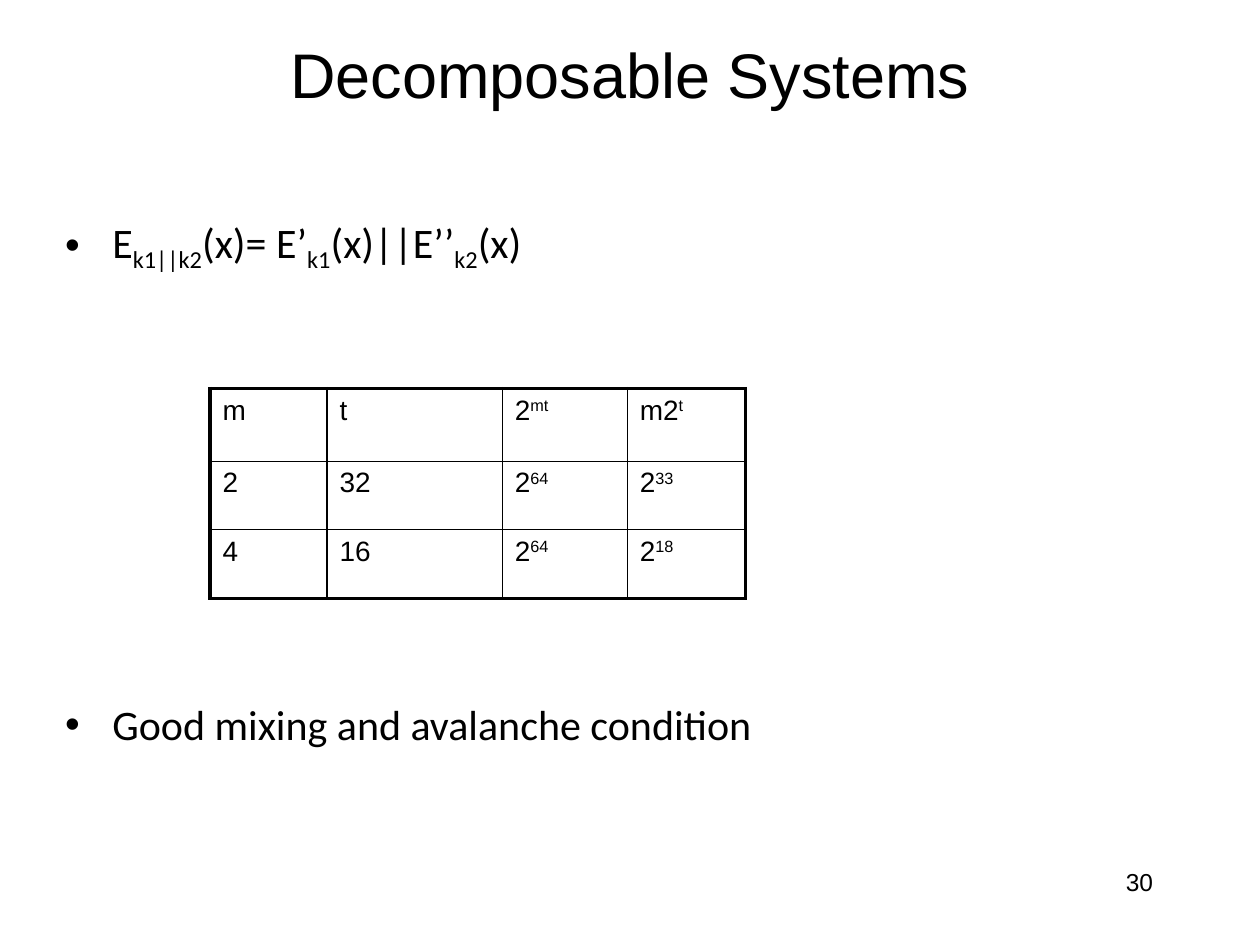
from lxml.etree import SubElement
from pptx import Presentation
from pptx.dml.color import RGBColor
from pptx.enum.text import MSO_ANCHOR, MSO_AUTO_SIZE, PP_ALIGN
from pptx.oxml.ns import qn
from pptx.util import Inches, Pt

BLACK = RGBColor(0, 0, 0)
GRID_COLUMNS, GRID_ROWS = 24, 18
SUBSCRIPT, SUPERSCRIPT = -25, 30
OUTER_BORDER, INNER_BORDER = Pt(2.25), Pt(1)

FORMULA = ["E", "k1||k2", "(x)= E’", "k1", "(x)||E’’", "k2", "(x)"]
CONDITION = ["Good mixing and avalanche condition"]
COSTS = [
    [["m"], ["t"], ["2", "mt"], ["m2", "t"]],
    [["2"], ["32"], ["2", "64"], ["2", "33"]],
    [["4"], ["16"], ["2", "64"], ["2", "18"]],
]


class SlideBuilder:
    """Holds the style and the slide; places elements in grid columns and rows."""

    heading_font, list_font = "Arial", "Calibri"

    def __init__(self, presentation):
        self.column = presentation.slide_width / GRID_COLUMNS
        self.row = presentation.slide_height / GRID_ROWS
        self.slide = presentation.slides.add_slide(presentation.slide_layouts[1])

    def area(self, left, top, width, height):
        return (round(left * self.column), round(top * self.row),
                round(width * self.column), round(height * self.row))

    def move(self, placeholder, area):
        (placeholder.left, placeholder.top,
         placeholder.width, placeholder.height) = self.area(*area)
        placeholder.text_frame.auto_size = MSO_AUTO_SIZE.NONE

    def add_runs(self, paragraph, parts, font, size, shift=0):
        """Add parts in turn on the baseline and shifted off it."""
        for index, part in enumerate(parts):
            run = paragraph.add_run()
            run.text = part
            run.font.name = font
            run.font.size = Pt(size)
            run.font.color.rgb = BLACK
            if index % 2:
                run._r.get_or_add_rPr().set("baseline", str(shift * 1000))

    def title(self, wording, area):
        heading = self.slide.shapes.title
        self.move(heading, area)
        heading.text_frame.vertical_anchor = MSO_ANCHOR.MIDDLE
        paragraph = heading.text_frame.paragraphs[0]
        paragraph.alignment = PP_ALIGN.CENTER
        self.add_runs(paragraph, [wording], self.heading_font, 36)

    def bullets(self, items, area, gap):
        body = self.slide.placeholders[1]
        self.move(body, area)
        frame = body.text_frame
        for index, parts in enumerate(items):
            paragraph = frame.add_paragraph() if index else frame.paragraphs[0]
            if index:
                paragraph.space_before = gap
            self.add_runs(paragraph, parts, self.list_font, 24, SUBSCRIPT)

    def border(self, cell, side, width):
        properties = cell._tc.get_or_add_tcPr()
        line = SubElement(properties, qn(f"a:ln{side}"), w=str(width))
        fill = SubElement(line, qn("a:solidFill"))
        SubElement(fill, qn("a:srgbClr"), val=str(BLACK))

    def table(self, rows, left, top, widths, heights):
        area = self.area(left, top, sum(widths), sum(heights))
        grid = self.slide.shapes.add_table(len(heights), len(widths), *area).table
        grid.first_row = grid.horz_banding = False
        for column, width in zip(grid.columns, widths):
            column.width = round(width * self.column)
        for row, height in zip(grid.rows, heights):
            row.height = round(height * self.row)
        last_row, last_column = len(heights) - 1, len(widths) - 1
        for r, row in enumerate(rows):
            for c, parts in enumerate(row):
                cell = grid.cell(r, c)
                self.add_runs(cell.text_frame.paragraphs[0], parts,
                              self.heading_font, 16, SUPERSCRIPT)
                on_edge = {"L": c == 0, "R": c == last_column,
                           "T": r == 0, "B": r == last_row}
                for side, outer in on_edge.items():
                    self.border(cell, side, OUTER_BORDER if outer else INNER_BORDER)
                cell.fill.background()

    def page_number(self, number, area):
        frame = self.slide.shapes.add_textbox(*self.area(*area)).text_frame
        frame.word_wrap = True
        paragraph = frame.paragraphs[0]
        paragraph.alignment = PP_ALIGN.RIGHT
        self.add_runs(paragraph, [number], self.heading_font, 14)


def main():
    presentation = Presentation()
    presentation.slide_width, presentation.slide_height = Inches(10), Inches(7.5)
    builder = SlideBuilder(presentation)
    builder.page_number("30", (17.2, 16.4, 5, 1.2))
    builder.title("Decomposable Systems", (1.8, 0.4, 20.4, 2))
    builder.bullets([FORMULA, CONDITION], (1, 4, 22.2, 12), gap=Pt(243))
    builder.table(COSTS, 4, 7.4, widths=[2.23, 3.34, 2.38, 2.25],
                  heights=[1.39, 1.3, 1.31])
    presentation.save("out.pptx")


if __name__ == "__main__":
    main()
